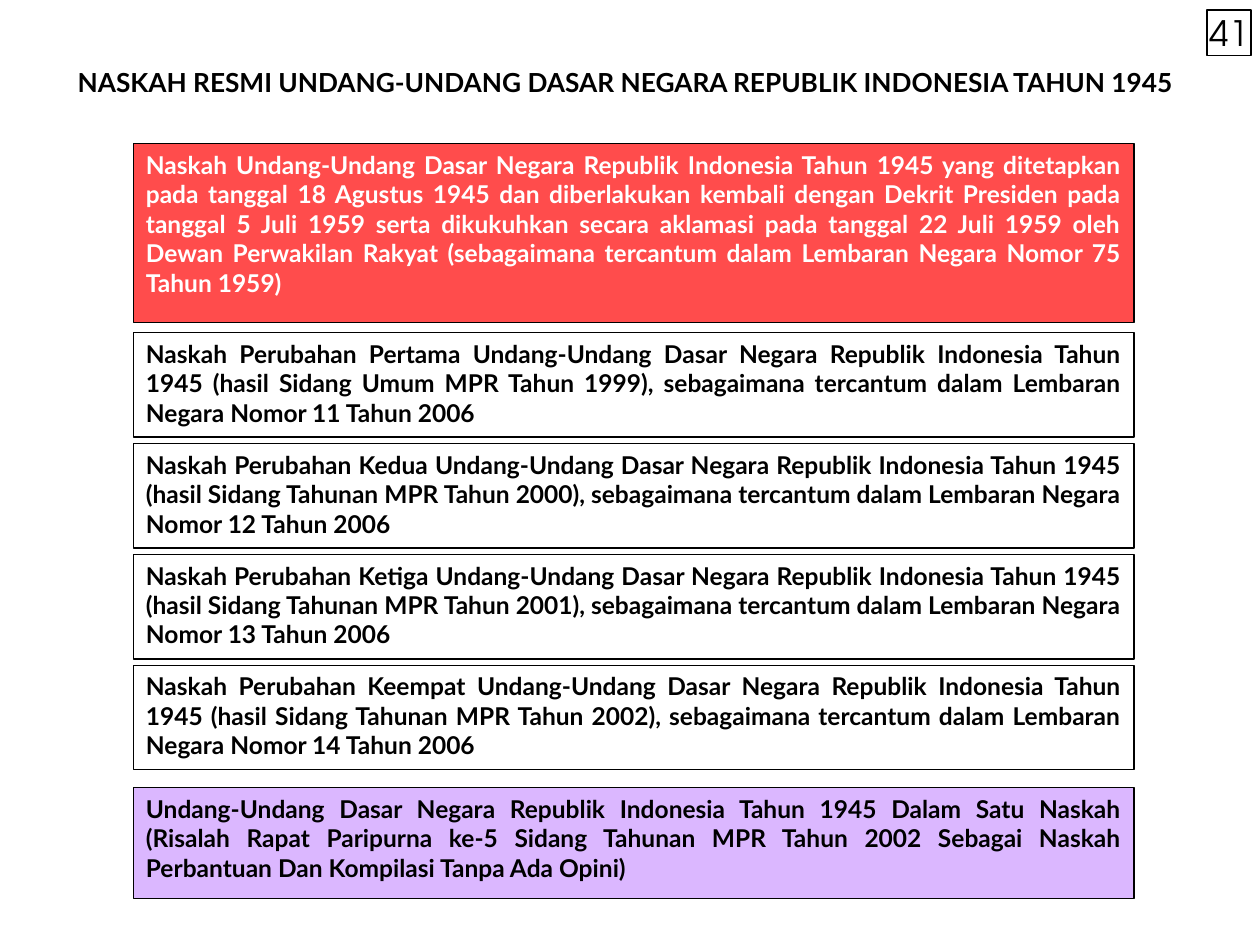
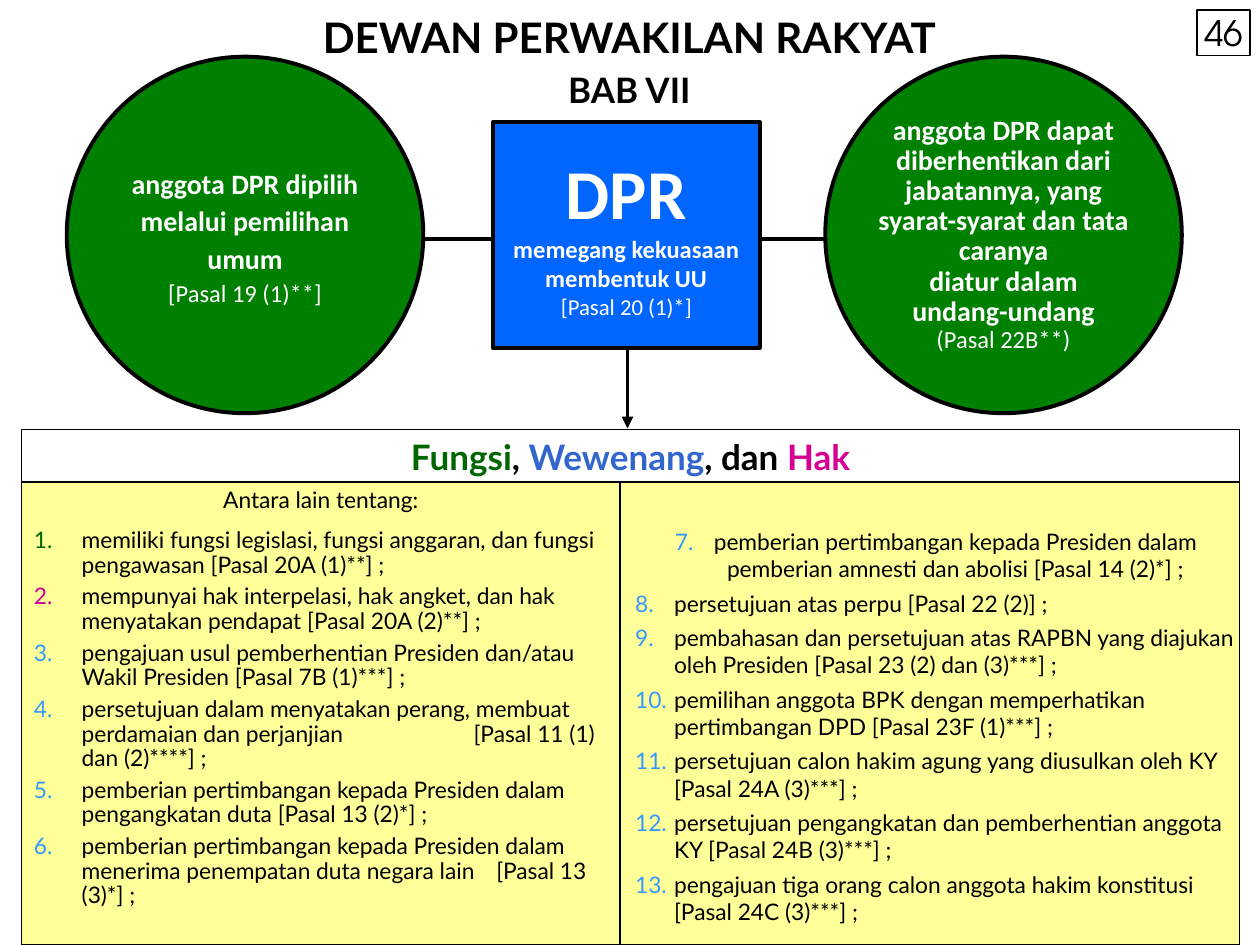
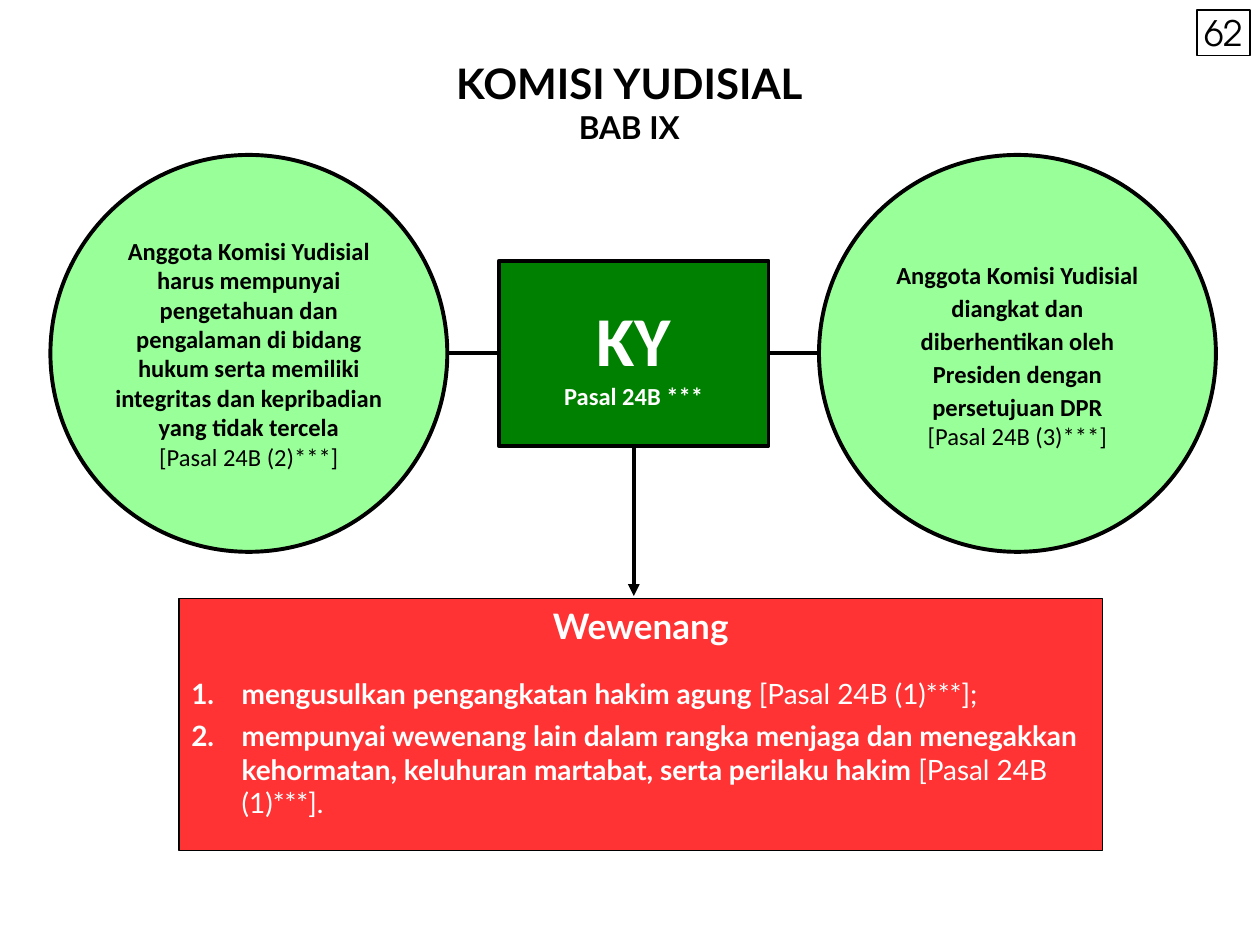
from lxml.etree import SubElement
from pptx import Presentation
from pptx.dml.color import RGBColor
from pptx.enum.shapes import MSO_CONNECTOR, MSO_SHAPE
from pptx.enum.text import MSO_ANCHOR, PP_ALIGN
from pptx.oxml.ns import qn
from pptx.util import Inches, Pt

BLACK, WHITE = "000000", "FFFFFF"
GREEN, BLUE, PALE_GREEN = "008000", "0066FF", "99FF99"
RED, PURPLE, YELLOW = "FF0000", "CC99FF", "FFFF00"
FUNCTION, AUTHORITY, RIGHT = "006600", "3366CC", "D60093"
RIGHT_NUMBER, AUTHORITY_NUMBER = "CC0099", "3399FF"

CENTER = {"alignment": PP_ALIGN.CENTER}
JUSTIFY = {"alignment": PP_ALIGN.JUSTIFY}
LATO = {"name": "Lato", "color": BLACK}
CALIBRI = {"name": "Calibri", "bold": True}
TITLE = LATO | {"size": Pt(24), "bold": True}
PAGE_NUMBER = {"name": "TeX Gyre Adventor", "size": Pt(20), "color": BLACK}
MIDDLE = {"anchor": MSO_ANCHOR.MIDDLE, "insets": (0, 0, 0, 0)}
HUB = {"anchor": MSO_ANCHOR.MIDDLE, "insets": (0, 0.05, 0, 0.05), "edge": 2.25}
CIRCLE = MIDDLE | {"edge": 2.25}


def add_box(slide, form, place, paragraphs, font, fill=None, alpha=100, edge=0.75,
            anchor=MSO_ANCHOR.TOP, insets=(0.1, 0.05, 0.1, 0.05)):
    position = [Inches(length) for length in place]
    if form is None:
        box = slide.shapes.add_textbox(*position)
    else:
        box = slide.shapes.add_shape(form, *position)
        box.shadow.inherit = False
        if fill:
            box.fill.solid()
            box.fill.fore_color.rgb = RGBColor.from_string(fill)
            if alpha < 100:
                tint = box._element.spPr.find(f".//{qn('a:srgbClr')}")
                SubElement(tint, qn("a:alpha"), val=str(alpha * 1000))
        else:
            box.fill.background()
        box.line.color.rgb = RGBColor.from_string(BLACK)
        box.line.width = Pt(edge)

    frame = box.text_frame
    frame.word_wrap = True
    frame.vertical_anchor = anchor
    for side, inset in zip(("left", "top", "right", "bottom"), insets):
        setattr(frame, f"margin_{side}", Inches(inset))

    for index, (runs, layout) in enumerate(paragraphs):
        paragraph = frame.add_paragraph() if index else frame.paragraphs[0]
        layout = dict(layout)
        hang = layout.pop("hang", None)
        number = layout.pop("number", None)
        tab = layout.pop("tab", None)
        properties = paragraph._p.get_or_add_pPr()
        if hang:
            properties.set("marL", str(Inches(hang[0])))
            properties.set("indent", str(Inches(-hang[1])))
        if number:
            color, start = number
            SubElement(SubElement(properties, qn("a:buClr")), qn("a:srgbClr"), val=color)
            SubElement(properties, qn("a:buFont"), typeface="+mj-lt")
            SubElement(properties, qn("a:buAutoNum"), type="arabicPeriod", startAt=str(start))
        if tab:
            stops = SubElement(properties, qn("a:tabLst"))
            SubElement(stops, qn("a:tab"), pos=str(Inches(tab)), algn="l")
        for attribute, value in layout.items():
            setattr(paragraph, attribute, value)
        for text, changes in runs:
            run = paragraph.add_run()
            run.text = text
            style = font | changes
            run.font.color.rgb = RGBColor.from_string(style.pop("color"))
            for attribute, value in style.items():
                setattr(run.font, attribute, value)


def add_link(slide, start, end, arrow=False):
    link = slide.shapes.add_connector(
        MSO_CONNECTOR.STRAIGHT, *[Inches(length) for length in (*start, *end)])
    link.line.color.rgb = RGBColor.from_string(BLACK)
    link.line.width = Pt(2.25)
    if arrow:
        SubElement(link.line._get_or_add_ln(), qn("a:tailEnd"), type="triangle")
    SubElement(link._element.spPr, qn("a:effectLst"))


deck = Presentation()
deck.slide_width, deck.slide_height = Inches(10), Inches(7.5)
slides = []
for page, left, width in (("41", 9.58, 0.35), ("46", 9.5, 0.42), ("62", 9.5, 0.42)):
    slide = deck.slides.add_slide(deck.slide_layouts[6])
    add_box(slide, MSO_SHAPE.RECTANGLE, (left, 0.08, width, 0.36),
            [([(page, {})], CENTER)], PAGE_NUMBER, **MIDDLE)
    slides.append(slide)
texts, house, commission = slides

add_box(texts, None, (0, 0.48, 9.93, 0.35),
        [([("NASKAH RESMI UNDANG-UNDANG DASAR NEGARA REPUBLIK INDONESIA TAHUN 1945", {})], CENTER)],
        TITLE | {"size": Pt(15)})
law = "Undang-Undang Dasar Negara Republik Indonesia Tahun 1945"
documents = [
    (1.14, 1.42, RED, 70, WHITE,
     f"Naskah {law} yang ditetapkan pada tanggal 18 Agustus 1945 dan diberlakukan kembali "
     "dengan Dekrit Presiden pada tanggal 5 Juli 1959 serta dikukuhkan secara aklamasi pada "
     "tanggal 22 Juli 1959 oleh Dewan Perwakilan Rakyat (sebagaimana tercantum dalam Lembaran "
     "Negara Nomor 75 Tahun 1959)"),
    (6.25, 0.88, PURPLE, 70, BLACK,
     f"{law} Dalam Satu Naskah (Risalah Rapat Paripurna ke-5 Sidang Tahunan MPR Tahun 2002 "
     "Sebagai Naskah Perbantuan Dan Kompilasi Tanpa Ada Opini)"),
]
amendments = [("Pertama", "Umum"), ("Kedua", "Tahunan"), ("Ketiga", "Tahunan"), ("Keempat", "Tahunan")]
for index, (ordinal, session) in enumerate(amendments):
    documents.append((
        2.64 + 0.88 * index, 0.83, WHITE, 50, BLACK,
        f"Naskah Perubahan {ordinal} {law} (hasil Sidang {session} MPR Tahun {1999 + index}), "
        f"sebagaimana tercantum dalam Lembaran Negara Nomor {11 + index} Tahun 2006"))
for top, height, fill, alpha, color, wording in documents:
    add_box(texts, MSO_SHAPE.RECTANGLE, (1.06, top, 7.94, height), [([(wording, {})], JUSTIFY)],
            LATO | {"size": Pt(14), "bold": True, "color": color}, fill, alpha)

add_link(house, (4.98, 2.75), (4.98, 3.4), arrow=True)
add_link(house, (3.36, 1.9), (3.94, 1.9))
add_link(house, (6.03, 1.9), (6.55, 1.9))
add_box(house, None, (0.08, 0.04, 9.83, 0.63), [
    ([("DEWAN PERWAKILAN RAKYAT", {})], CENTER),
    ([("BAB VII", {"size": Pt(20)})], CENTER | {"space_before": Pt(4)}),
], TITLE)
add_box(house, MSO_SHAPE.RECTANGLE, (3.91, 0.97, 2.12, 1.79), [
    ([("DPR", {"size": Pt(40)})], CENTER),
    ([("memegang kekuasaan membentuk UU", {})], CENTER),
    ([("[Pasal 20 (1)*]", {"size": Pt(13), "bold": False})], CENTER),
], CALIBRI | {"size": Pt(14), "color": WHITE}, BLUE, **HUB)

article = {"size": Pt(14), "bold": False}
elected = [("anggota DPR dipilih melalui pemilihan umum", {}), ("[Pasal 19 (1)**]", article)]
dismissed = [
    ("anggota DPR dapat diberhentikan dari jabatannya, yang syarat-syarat dan tata caranya", {}),
    ("diatur dalam", {}),
    ("undang-undang", {}),
    ("(Pasal 22B**)", article),
]
for left, spacing, lines in ((0.53, 1.12, elected), (6.55, 0.9, dismissed)):
    add_box(house, MSO_SHAPE.OVAL, (left, 0.45, 2.83, 2.83),
            [([line], CENTER | {"line_spacing": spacing}) for line in lines],
            CALIBRI | {"size": Pt(16), "color": WHITE}, GREEN, **CIRCLE)

add_box(house, MSO_SHAPE.RECTANGLE, (0.17, 3.41, 9.67, 0.41), [([
    ("Fungsi", {"color": FUNCTION}),
    (", ", {}),
    ("Wewenang", {"color": AUTHORITY}),
    (", dan ", {}),
    ("Hak", {"color": RIGHT}),
], CENTER)], TITLE | {"size": Pt(20)}, WHITE)

duties = [
    (FUNCTION, "memiliki fungsi legislasi, fungsi anggaran, dan fungsi pengawasan [Pasal 20A (1)**] ;",
     {"space_before": Pt(9)}),
    (RIGHT_NUMBER, "mempunyai hak interpelasi, hak angket, dan hak menyatakan pendapat [Pasal 20A (2)**] ;", {}),
    (AUTHORITY_NUMBER, "pengajuan usul pemberhentian Presiden dan/atau Wakil Presiden [Pasal 7B (1)***] ;", {}),
    (AUTHORITY_NUMBER, "persetujuan dalam menyatakan perang, membuat perdamaian dan perjanjian"
     "\t[Pasal 11 (1) dan (2)****] ;", {"tab": 3.49}),
    (AUTHORITY_NUMBER, "pemberian pertimbangan kepada Presiden dalam pengangkatan duta [Pasal 13 (2)*] ;", {}),
    (AUTHORITY_NUMBER, "pemberian pertimbangan kepada Presiden dalam menerima penempatan duta negara lain"
     "\t[Pasal 13 (3)*] ;", {"tab": 3.67}),
]
approvals = [
    "pemberian pertimbangan kepada Presiden dalam pemberian amnesti dan abolisi [Pasal 14 (2)*] ;",
    "persetujuan atas perpu [Pasal 22 (2)] ;",
    "pembahasan dan persetujuan atas RAPBN yang diajukan oleh Presiden [Pasal 23 (2) dan (3)***] ;",
    "pemilihan anggota BPK dengan memperhatikan pertimbangan DPD [Pasal 23F (1)***] ;",
    "persetujuan calon hakim agung yang diusulkan oleh KY [Pasal 24A (3)***] ;",
    "persetujuan pengangkatan dan pemberhentian anggota KY [Pasal 24B (3)***] ;",
    "pengajuan tiga orang calon anggota hakim konstitusi [Pasal 24C (3)***] ;",
]
duty_layout = {"hang": (0.38, 0.38), "line_spacing": 0.9}
duty_list = [([("Antara lain tentang:", {})], duty_layout)]
for color, duty, extra in duties:
    duty_list.append(([(duty, {})],
                      duty_layout | {"number": (color, 1), "space_after": Pt(4)} | extra))
approval_layout = {"hang": (0.4, 0.31), "number": (AUTHORITY_NUMBER, 7), "space_after": Pt(4)}
approval_list = [([(approval, {})], approval_layout) for approval in approvals]
list_font = LATO | {"size": Pt(13)}
add_box(house, MSO_SHAPE.RECTANGLE, (0.17, 3.83, 4.75, 3.67), duty_list, list_font, YELLOW, 40)
add_box(house, MSO_SHAPE.RECTANGLE, (4.92, 3.83, 4.92, 3.67), approval_list, list_font, YELLOW, 40,
        insets=(0.03, 0.36, 0.03, 0.05))

add_link(commission, (3.54, 2.8), (3.98, 2.8))
add_link(commission, (6.1, 2.8), (6.5, 2.8))
add_link(commission, (5.03, 3.52), (5.03, 4.73), arrow=True)
add_box(commission, None, (0.08, 0.41, 9.83, 1), [
    ([("KOMISI YUDISIAL", {})], CENTER),
    ([("BAB IX", {"size": Pt(18)})], CENTER),
], TITLE)
add_box(commission, MSO_SHAPE.RECTANGLE, (3.96, 2.07, 2.14, 1.47), [
    ([("KY", {"size": Pt(40)})], CENTER),
    ([("Pasal 24B ***", {})], CENTER),
], CALIBRI | {"size": Pt(14), "color": WHITE}, GREEN, **HUB)

members = [
    (0.4, 1.0, "Anggota Komisi Yudisial harus mempunyai pengetahuan dan pengalaman di bidang hukum "
     "serta memiliki integritas dan kepribadian yang tidak tercela", "[Pasal 24B (2)***]"),
    (6.5, 1.12, "Anggota Komisi Yudisial diangkat dan diberhentikan oleh Presiden dengan persetujuan DPR",
     "[Pasal 24B (3)***]"),
]
for left, spacing, rule, source in members:
    add_box(commission, MSO_SHAPE.OVAL, (left, 1.23, 3.15, 3.15), [
        ([(rule, {})], CENTER | {"line_spacing": spacing}),
        ([(source, {"bold": False})], CENTER),
    ], CALIBRI | {"size": Pt(14), "color": BLACK}, PALE_GREEN, **CIRCLE)

power_layout = {"alignment": PP_ALIGN.LEFT, "hang": (0.4, 0.4), "number": (WHITE, 1), "space_after": Pt(5)}
powers = [
    ("mengusulkan pengangkatan hakim agung ", "[Pasal 24B (1)***];"),
    ("mempunyai wewenang lain dalam rangka menjaga dan menegakkan kehormatan, keluhuran martabat, "
     "serta perilaku hakim ", "[Pasal 24B (1)***]."),
]
power_list = [([("Wewenang", {"size": Pt(20)})], CENTER | {"space_after": Pt(17)})]
for power, source in powers:
    power_list.append(([(power, {}), (source, {"bold": False})], power_layout))
add_box(commission, MSO_SHAPE.RECTANGLE, (1.42, 4.75, 7.33, 2), power_list,
        LATO | {"size": Pt(16), "bold": True, "color": WHITE}, RED, 80)

deck.save("out.pptx")
